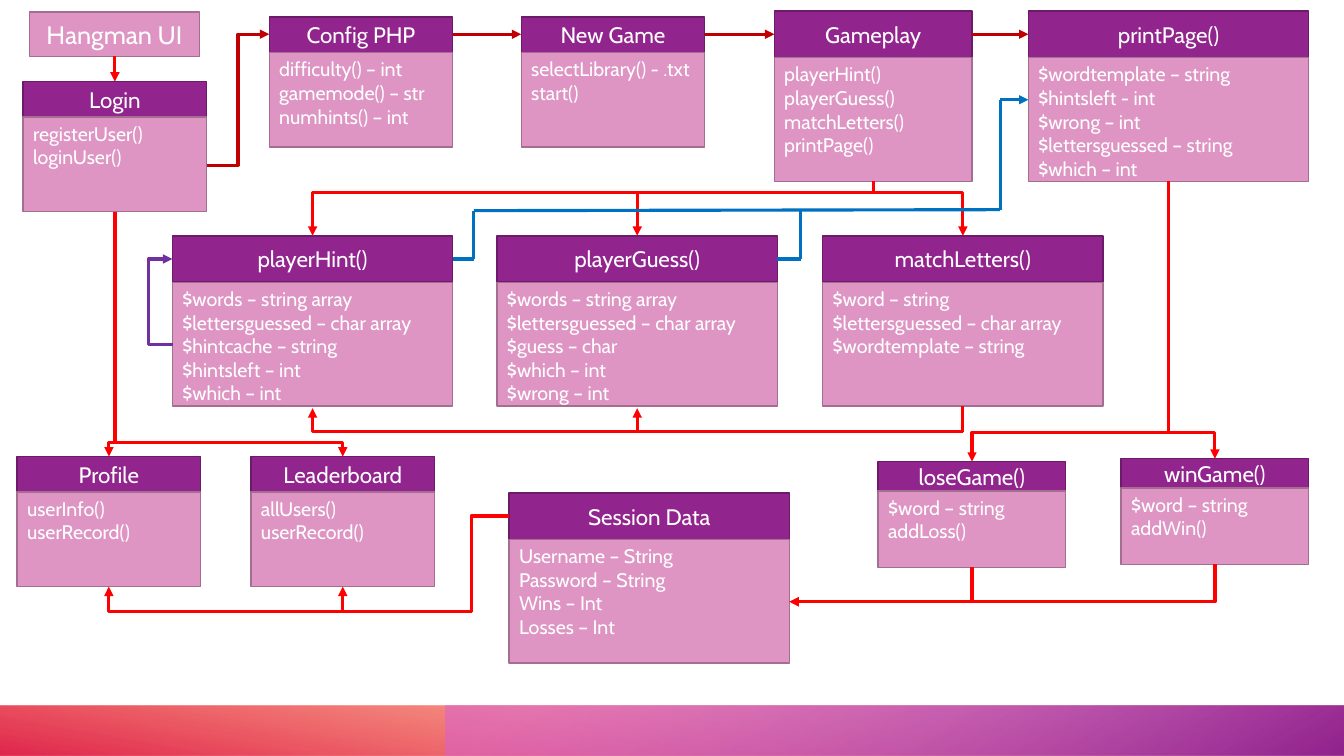
from dataclasses import dataclass
from itertools import pairwise

from lxml.etree import SubElement
from pptx import Presentation
from pptx.dml.color import RGBColor
from pptx.enum.shapes import MSO_CONNECTOR, MSO_SHAPE
from pptx.enum.text import MSO_ANCHOR, PP_ALIGN
from pptx.oxml.ns import qn
from pptx.util import Inches, Pt

WIDTH, HEIGHT = 13.33, 7.5
FONT = "Cabin"
COLORS = {
    "head": "92248E", "head_line": "6C1B69", "body": "DE95C4", "body_line": "A46E91",
    "text": "FFFFFF", "flow": "C00000", "call": "FF0000", "render": "0070C0", "loop": "7030A0",
    "orange": "FE4A00", "red": "DA002F", "pink": "D861D4",
}
SIZES = {
    "small": (1.82, 0.35, 0.94), "medium": (1.96, 0.46, 1.23),
    "wide": (2.78, 0.46, 1.23), "result": (1.86, 0.29, 0.76),
}


@dataclass
class Card:
    """A titled box with its members, and the points where arrows meet it."""

    title: str
    left: float
    top: float
    size: str
    members: list

    @property
    def right(self):
        """Right edge."""
        return self.left + SIZES[self.size][0]

    @property
    def center(self):
        """Horizontal middle."""
        return self.left + SIZES[self.size][0] / 2

    @property
    def head_middle(self):
        """Vertical middle of the title bar."""
        return self.top + SIZES[self.size][1] / 2

    @property
    def bottom(self):
        """Bottom edge."""
        return self.top + sum(SIZES[self.size][1:])


CARDS = {card.title: card for card in (
    Card("Login", 0.23, 0.81, "small", ["registerUser()", "loginUser()"]),
    Card("Config PHP", 2.67, 0.17, "small",
         ["difficulty() – int", "gamemode() – str", "numhints() – int"]),
    Card("New Game", 5.17, 0.17, "small", ["selectLibrary() - .txt", "start()"]),
    Card("Gameplay", 7.68, 0.11, "medium",
         ["playerHint()", "playerGuess()", "matchLetters()", "printPage()"]),
    Card("printPage()", 10.2, 0.11, "wide",
         ["$wordtemplate – string", "$hintsleft - int", "$wrong – int",
          "$lettersguessed – string", "$which – int"]),
    Card("playerHint()", 1.71, 2.34, "wide",
         ["$words – string array", "$lettersguessed – char array", "$hintcache – string",
          "$hintsleft – int", "$which – int"]),
    Card("playerGuess()", 4.93, 2.34, "wide",
         ["$words – string array", "$lettersguessed – char array", "$guess – char",
          "$which – int", "$wrong – int"]),
    Card("matchLetters()", 8.16, 2.34, "wide",
         ["$word – string", "$lettersguessed – char array", "$wordtemplate – string"]),
    Card("Profile", 0.17, 4.53, "small", ["userInfo()", "userRecord()"]),
    Card("Leaderboard", 2.49, 4.53, "small", ["allUsers()", "userRecord()"]),
    Card("Session Data", 5.05, 4.89, "wide",
         ["Username – String", "Password – String", "Wins – Int", "Losses – Int"]),
    Card("loseGame()", 8.71, 4.58, "result", ["$word – string", "addLoss()"]),
    Card("winGame()", 11.12, 4.55, "result", ["$word – string", "addWin()"]),
)}


def color(name):
    """Look up a named colour."""
    return RGBColor.from_string(COLORS[name])


def add_box(slide, box, part, lines, size, centered=True):
    """Draw one outlined rectangle with its lines of text."""
    shape = slide.shapes.add_shape(MSO_SHAPE.RECTANGLE, *map(Inches, box))
    shape.shadow.inherit = False
    shape.fill.solid()
    shape.fill.fore_color.rgb = color(part)
    shape.line.color.rgb = color(part + "_line")
    shape.line.width = Pt(1)
    frame = shape.text_frame
    frame.word_wrap = True
    frame.vertical_anchor = MSO_ANCHOR.MIDDLE if centered else MSO_ANCHOR.TOP
    frame.text = "\n".join(lines)
    for paragraph in frame.paragraphs:
        paragraph.alignment = PP_ALIGN.CENTER if centered else PP_ALIGN.LEFT
        paragraph.font.name = FONT
        paragraph.font.size = Pt(size)
        paragraph.font.color.rgb = color("text")


def add_card(slide, card):
    """Draw the title bar and the member list of a card."""
    width, head, body = SIZES[card.size]
    add_box(slide, (card.left, card.top, width, head), "head", [card.title], 16)
    add_box(slide, (card.left, card.top + head, width, body), "body", card.members, 14, False)


def add_route(slide, name, points, arrow=True):
    """Draw a straight or bent connector through the points."""
    (x1, y1), (x2, y2) = start, end = points[0], points[-1]
    bent = len(points) > 2
    vertical = bent and x1 == points[1][0]
    kind = MSO_CONNECTOR.ELBOW if bent else MSO_CONNECTOR.STRAIGHT
    line = slide.shapes.add_connector(kind, *map(Inches, (x1, y1, x2, y2)))
    line.line.color.rgb = color(name)
    line.line.width = Pt(2.25)
    properties = line._element.spPr
    if vertical:
        width, height = abs(y2 - y1), abs(x2 - x1)
        line.left, line.top = Inches((x1 + x2 - width) / 2), Inches((y1 + y2 - height) / 2)
        line.width, line.height = Inches(width), Inches(height)
        transform = properties.find(qn("a:xfrm"))
        transform.attrib.clear()
        transform.set("rot", str(90 * 60000))
        transform.set("flipV", str(int(x2 > x1)))
    if bent:
        geometry = properties.find(qn("a:prstGeom"))
        geometry.set("prst", f"bentConnector{len(points) - 1}")
        guides = geometry.get_or_add_avLst()
        for number, point in enumerate(points[1:-2], 1):
            axis = (number + vertical + 1) % 2
            share = (point[axis] - start[axis]) / (end[axis] - start[axis])
            SubElement(guides, qn("a:gd"), name=f"adj{number}", fmla=f"val {round(share * 100000)}")
    if arrow:
        SubElement(line.line._get_or_add_ln(), qn("a:tailEnd"), type="triangle")
    SubElement(properties, qn("a:effectLst"))


def add_band(slide, left, angle, stops):
    """Draw a gradient band from left to the slide's right edge along the bottom."""
    box = (left, HEIGHT - 0.5, WIDTH - left, 0.5)
    band = slide.shapes.add_shape(MSO_SHAPE.RECTANGLE, *map(Inches, box))
    band.shadow.inherit = False
    band.line.fill.background()
    band.fill.gradient()
    band.fill.gradient_angle = 360 - angle
    for stop, (position, name, _) in zip(band.fill.gradient_stops, stops):
        stop.position = position
        stop.color.rgb = color(name)
    for element, (_, _, opacity) in zip(band._element.iter(qn("a:srgbClr")), stops):
        SubElement(element, qn("a:alpha"), val=str(opacity * 1000))


def add_top_routes(slide):
    """Link the cards of the first row, from login to the printed page."""
    login, config = CARDS["Login"], CARDS["Config PHP"]
    add_route(slide, "call", [(login.center, 0.56), (login.center, login.top)])
    add_route(slide, "flow", [(login.right, 1.64), (2.36, 1.64), (2.36, 0.34), (config.left, 0.34)])
    row = [config, CARDS["New Game"], CARDS["Gameplay"], CARDS["printPage()"]]
    for card, following in pairwise(row):
        add_route(slide, "flow", [(card.right, 0.34), (following.left, 0.34)])


def add_branch(slide, source, lane, targets):
    """Link the bottom of a card to the tops of others through a shared lane."""
    x, y = CARDS[source].center, CARDS[source].bottom
    for target in map(CARDS.get, targets):
        add_route(slide, "call", [(x, y), (x, lane), (target.center, lane), (target.center, target.top)])


def add_return_routes(slide):
    """Link guesses, results and session data back to the cards they feed."""
    match, session = CARDS["matchLetters()"], CARDS["Session Data"]
    for target in (CARDS["playerGuess()"], CARDS["playerHint()"]):
        add_route(slide, "call", [(match.center, match.bottom), (match.center, 4.28),
                                  (target.center, 4.28), (target.center, target.bottom + 0.02)])
    for result in (CARDS["loseGame()"], CARDS["winGame()"]):
        add_route(slide, "call", [(result.center, result.bottom), (result.center, 5.97),
                                  (session.right, 5.97)])
    for target in (CARDS["Leaderboard"], CARDS["Profile"]):
        add_route(slide, "call", [(session.left, session.head_middle), (4.68, session.head_middle),
                                  (4.68, 6.07), (target.center, 6.07), (target.center, target.bottom)])


def add_page_routes(slide):
    """Link the hint and guess cards to the printed page, and the hint card to itself."""
    hint, guess, page = (CARDS[name] for name in ("playerHint()", "playerGuess()", "printPage()"))
    middle = hint.head_middle
    trunk = [(hint.right, middle), (4.7, middle), (4.7, 2.09), (9.92, 2.08), (9.92, 0.99), (page.left, 0.99)]
    spur = [(guess.right, middle), (7.94, middle), (7.94, 2.08)]
    for path_points in (trunk, spur):
        for segment in pairwise(path_points):
            add_route(slide, "render", segment, arrow=segment[1] == trunk[-1])
    add_route(slide, "loop", [(hint.left + 0.01, 3.42), (1.47, 3.42), (1.47, middle), (hint.left, middle)])


def main():
    """Build the class diagram and save it."""
    presentation = Presentation()
    presentation.slide_width, presentation.slide_height = Inches(WIDTH), Inches(HEIGHT)
    slide = presentation.slides.add_slide(presentation.slide_layouts[6])
    add_band(slide, 0, 100, [(0.14, "orange", 28), (1, "red", 85)])
    add_band(slide, 4.42, 60, [(0.09, "pink", 55), (0.99, "head", 100)])
    add_box(slide, (0.29, 0.12, 1.69, 0.44), "body", ["Hangman UI"], 18)
    for card in CARDS.values():
        add_card(slide, card)
    add_top_routes(slide)
    add_branch(slide, "Gameplay", 1.91, ["playerHint()", "playerGuess()", "matchLetters()"])
    add_branch(slide, "printPage()", 4.29, ["winGame()", "loseGame()"])
    add_branch(slide, "Login", 4.39, ["Profile", "Leaderboard"])
    add_return_routes(slide)
    add_page_routes(slide)
    presentation.save("out.pptx")


if __name__ == "__main__":
    main()
